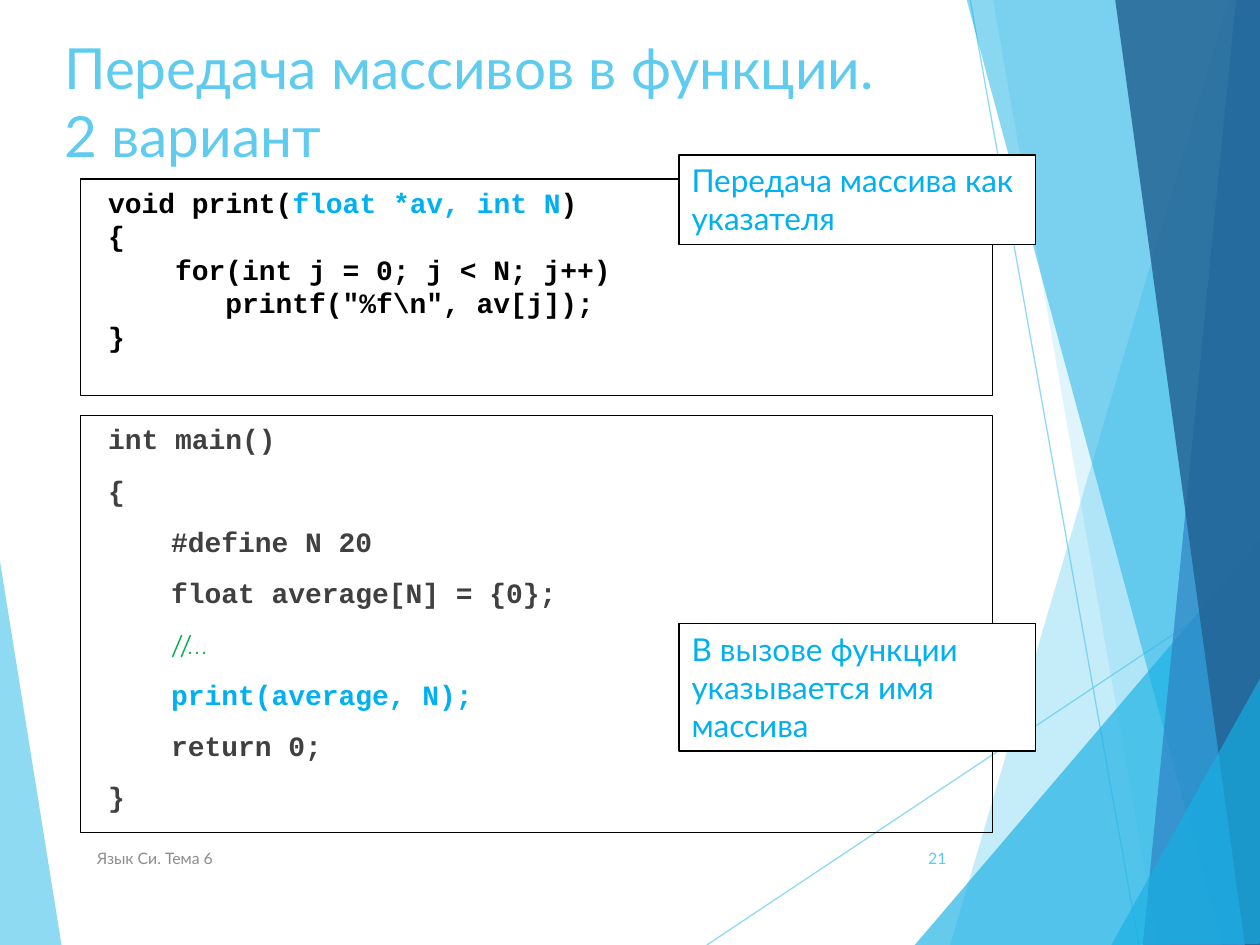
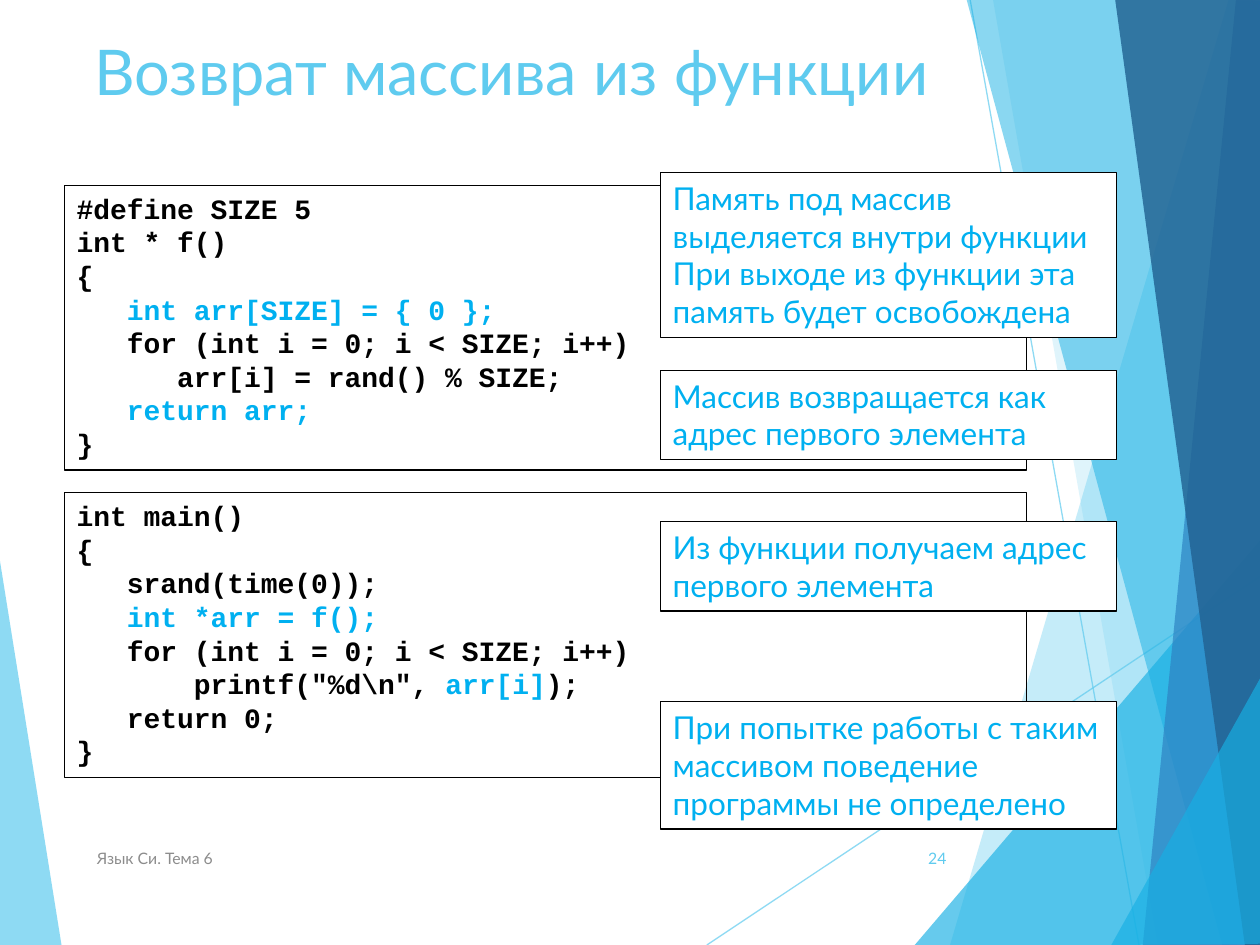
from lxml import etree
from pptx import Presentation
from pptx.dml.color import RGBColor
from pptx.enum import shapes, text
from pptx.oxml.ns import qn
from pptx.util import Inches, Pt

SKY = RGBColor(0x5F, 0xCB, 0xEF)
CYAN = RGBColor(0x17, 0xB0, 0xE4)
BLUE = RGBColor(0x2E, 0x83, 0xC3)
NAVY = RGBColor(0x22, 0x62, 0x92)
ACCENT = RGBColor(0x00, 0xB0, 0xF0)
GREEN = RGBColor(0x00, 0xB0, 0x50)
GREY = RGBColor(0x8C, 0x8C, 0x8C)
DARK = RGBColor(0x40, 0x40, 0x40)
BLACK = RGBColor(0, 0, 0)
WHITE = RGBColor(0xFF, 0xFF, 0xFF)

TEXT_FONT = "Lato"
CODE_FONT = "Courier New"
COMMENT_FONT = "Comic Neue"
TAB = 0.5

RAYS = [((5.61, 7.5), (10.01, 4.57)), ((7.7, 0), (9.04, 7.5))]
LEFT_BAND = ([(-0.01, 4.39), (0.49, 7.51), (-0.01, 7.5)], SKY, 70)
RIGHT_BANDS = [
    ([(9.75, 0), (7.54, 7.5), (10.02, 7.51), (10.01, 0.01)], SKY, 36),
    ([(7.88, -0.01), (9.19, 7.5), (10.01, 7.5), (10.01, -0.01)], SKY, 20),
    ([(7.26, 7.5), (10, 4.29), (10.01, 7.5)], CYAN, 66),
    ([(7.67, -0.01), (9.7, 7.5), (10.01, 7.49), (10.01, -0.01)], CYAN, 50),
    ([(9.81, -0.01), (9.07, 7.5), (10.01, 7.5), (10, -0.01)], BLUE, 70),
    ([(8.85, -0.01), (9.88, 7.5), (10.02, 7.5), (10, -0.01)], NAVY, 82),
    ([(8.82, 7.5), (10.02, 5.35), (10.02, 7.49)], CYAN, 66),
]

PRINT_CODE = [
    "void print(|float *av, int N|)",
    "{",
    "    for(int j = 0; j < N; j++)",
    '       printf("%f\\n", av[j]);',
    "}",
]
CALL_CODE = [
    "int main()",
    "{",
    "\t#define N 20",
    "\tfloat average[N] = {0};",
    "\t//…",
    "\t|print(average, N);|",
    "\treturn 0;",
    "}",
]
RETURN_CODE = [
    "#define SIZE 5",
    "int * f()",
    "{",
    "   |int arr[SIZE] = { 0 };|",
    "   for (int i = 0; i < SIZE; i++)",
    "      arr[i] = rand() % SIZE;",
    "   |return arr;|",
    "}",
]
USE_CODE = [
    "int main()",
    "{",
    "   srand(time(0));",
    "   |int *arr = f();|",
    "   for (int i = 0; i < SIZE; i++)",
    '       printf("%d\\n", |arr[i]|);',
    "   return 0;",
    "}",
]


def set_alpha(shape, percent):
    for color in shape.element.spPr.iter(qn("a:srgbClr")):
        etree.SubElement(color, qn("a:alpha")).set("val", str(percent * 1000))


def add_band(page, points, color, opacity):
    corners = [(Inches(x), Inches(y)) for x, y in points]
    builder = page.shapes.build_freeform(*corners[0])
    builder.add_line_segments(corners[1:], close=True)
    band = builder.convert_to_shape()
    band.shadow.inherit = False
    band.fill.solid()
    band.fill.fore_color.rgb = color
    band.line.fill.background()
    set_alpha(band, opacity)
    return band


def add_ray(page, start, end):
    ends = [Inches(value) for value in (*start, *end)]
    ray = page.shapes.add_connector(shapes.MSO_CONNECTOR.STRAIGHT, *ends)
    ray.line.color.rgb = SKY
    ray.line.width = Pt(0.75)
    set_alpha(ray, 70)
    etree.SubElement(ray.element.spPr, qn("a:effectLst"))
    return ray


def add_backdrop(layout, page):
    backdrop = [add_band(page, *LEFT_BAND)]
    backdrop += [add_ray(page, *ray) for ray in RAYS]
    backdrop += [add_band(page, *band) for band in RIGHT_BANDS]
    for shape in backdrop:
        layout.shapes.element.append(shape.element)


def add_span(para, words, size, color, font=TEXT_FONT, bold=False):
    span = para.add_run()
    span.text = words
    span.font.name = font
    span.font.size = Pt(size)
    span.font.bold = bold
    span.font.color.rgb = color


def set_title(page, left, size, lines):
    title = page.shapes.title
    title.left, title.top = Inches(left), Inches(0.21)
    title.width, title.height = Inches(6.94), Inches(1.44)
    frame = title.text_frame
    frame.word_wrap = True
    frame.auto_size = text.MSO_AUTO_SIZE.NONE
    frame.vertical_anchor = text.MSO_ANCHOR.TOP
    para = frame.paragraphs[0]
    para.alignment = text.PP_ALIGN.LEFT
    for index, line in enumerate(lines):
        if index:
            para.add_line_break()
        add_span(para, line, size, SKY)


def add_label(page, left, width, words, color, align):
    box = page.shapes.add_textbox(Inches(left), Inches(6.61), Inches(width), Inches(0.4))
    frame = box.text_frame
    frame.word_wrap = True
    frame.vertical_anchor = text.MSO_ANCHOR.MIDDLE
    para = frame.paragraphs[0]
    para.alignment = align
    add_span(para, words, 9, color)


def add_footer(page, number):
    add_label(page, 0.67, 5.06, "Язык Си. Тема 6", GREY, text.PP_ALIGN.LEFT)
    add_label(page, 7.05, 0.56, number, SKY, text.PP_ALIGN.RIGHT)


def add_frame(page, place, fill=None):
    box = page.shapes.add_shape(shapes.MSO_SHAPE.RECTANGLE, *map(Inches, place))
    box.shadow.inherit = False
    if fill is None:
        box.fill.background()
    else:
        box.fill.solid()
        box.fill.fore_color.rgb = fill
    box.line.color.rgb = BLACK
    box.line.width = Pt(0.75)
    frame = box.text_frame
    frame.word_wrap = True
    frame.vertical_anchor = text.MSO_ANCHOR.TOP
    return frame


def add_lines(frame, lines):
    for index, line in enumerate(lines):
        para = frame.add_paragraph() if index else frame.paragraphs[0]
        para.alignment = text.PP_ALIGN.LEFT
        yield index, para, line


def add_code(page, place, lines, color=BLACK, margin=0, gap=0):
    for index, para, line in add_lines(add_frame(page, place), lines):
        code = line.lstrip("\t")
        indent = margin + TAB * (len(line) - len(code))
        properties = para._p.get_or_add_pPr()
        properties.set("marL", str(Inches(indent)))
        properties.set("indent", "0")
        para.space_before = Pt(gap if index else 0)
        for part, words in enumerate(code.split("|")):
            if words.startswith("//"):
                add_span(para, words, 16, GREEN, COMMENT_FONT)
            elif words:
                add_span(para, words, 16, ACCENT if part % 2 else color, CODE_FONT, True)


def add_note(page, place, *lines):
    for _, para, line in add_lines(add_frame(page, place, WHITE), lines):
        add_span(para, line, 18, ACCENT)


def build_passing(page):
    set_title(page, 0.41, 32.4, ["Передача массивов в функции. ", "2 вариант"])
    add_code(page, (0.64, 3.3, 7.24, 3.31), CALL_CODE, DARK, margin=0.12, gap=10)
    add_footer(page, "21")
    add_code(page, (0.64, 1.42, 7.24, 1.72), PRINT_CODE, margin=0.12)
    add_note(page, (5.39, 1.23, 2.83, 0.71), "Передача массива как указателя")
    add_note(page, (5.39, 4.95, 2.83, 1.01), "В вызове функции указывается имя массива")


def build_returning(page):
    set_title(page, 0.65, 36, ["Возврат массива из функции"])
    add_footer(page, "24")
    for top, code in ((1.47, RETURN_CODE), (3.91, USE_CODE)):
        add_code(page, (0.51, top, 7.64, 2.26), code)
    notes = [
        (1.37, 1.31, ["Память под массив выделяется внутри функции",
                      "При выходе из функции эта память будет освобождена"]),
        (2.94, 0.71, ["Массив возвращается как адрес первого элемента"]),
        (4.14, 0.71, ["Из функции получаем адрес первого элемента"]),
        (5.57, 1.01, ["При попытке работы с таким массивом поведение программы не определено"]),
    ]
    for top, height, lines in notes:
        add_note(page, (5.24, top, 3.62, height), *lines)


def main():
    deck = Presentation()
    deck.slide_width, deck.slide_height = Inches(10), Inches(7.5)
    layout = deck.slide_layouts[5]
    passing = deck.slides.add_slide(layout)
    add_backdrop(layout, passing)
    build_passing(passing)
    build_returning(deck.slides.add_slide(layout))
    deck.save("out.pptx")


if __name__ == "__main__":
    main()
